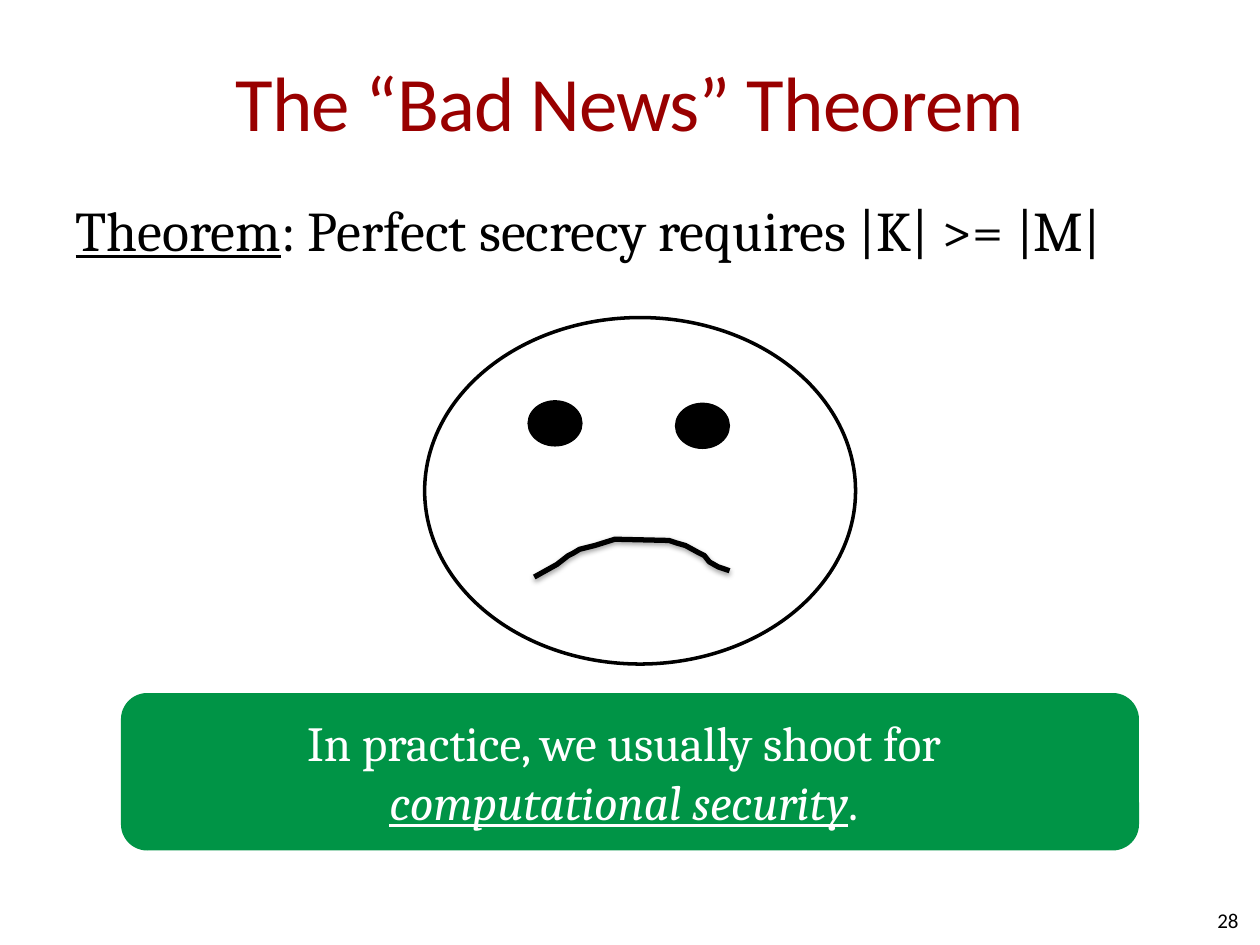
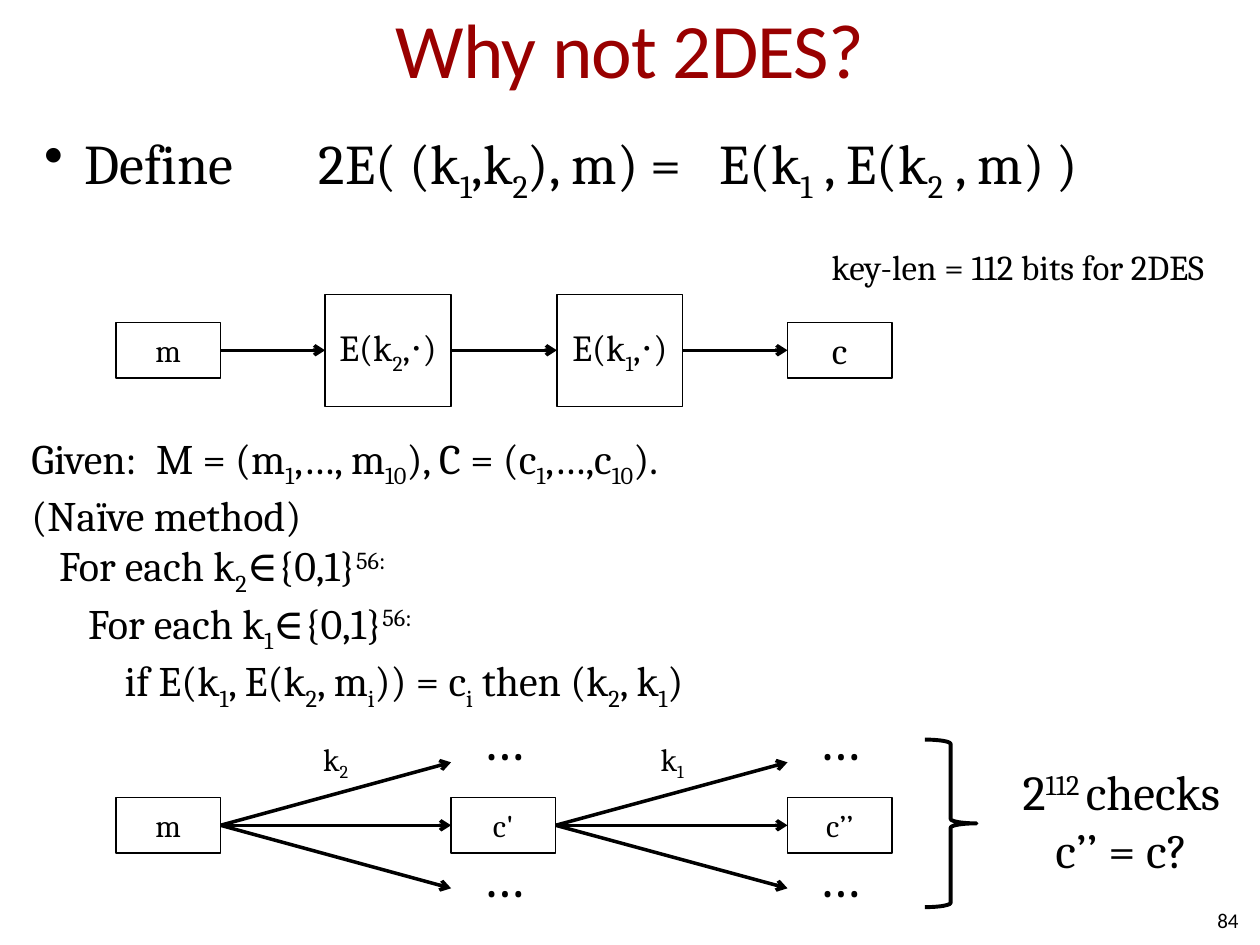
from lxml.etree import SubElement
from pptx import Presentation
from pptx.dml.color import RGBColor
from pptx.enum.shapes import MSO_CONNECTOR, MSO_SHAPE
from pptx.enum.text import MSO_ANCHOR, PP_ALIGN
from pptx.oxml.ns import qn
from pptx.util import Inches, Pt

THEME = {
    "black": RGBColor.from_string("000000"),
    "white": RGBColor.from_string("FFFFFF"),
    "red": RGBColor.from_string("990000"),
    "green": RGBColor.from_string("009446"),
    "heading_font": "Calibri",
    "body_font": "Cambria",
    "title": 44,
    "body": 32,
    "callout": 28,
    "method": 24,
    "cipher": 21,
    "note": 20,
    "label": 18,
    "number": 12,
}
BASELINES = {"_": "-25000", "^": "30000"}
CENTER = {"align": PP_ALIGN.CENTER, "anchor": MSO_ANCHOR.MIDDLE}
FACE = {"fill": "white", "line": "black"}


def add_item(slide, at, preset=None, fill=None, line=None, width=0.75):
    lengths = [Inches(value) for value in at]
    if preset is None:
        return slide.shapes.add_textbox(*lengths)
    shape = slide.shapes.add_shape(preset, *lengths)
    shape.shadow.inherit = False
    if fill:
        shape.fill.solid()
        shape.fill.fore_color.rgb = THEME[fill]
    else:
        shape.fill.background()
    if line:
        shape.line.color.rgb = THEME[line]
        shape.line.width = Pt(width)
    else:
        shape.line.fill.background()
    return shape


def write(shape, lines, size, color="black", font="body_font",
          align=PP_ALIGN.LEFT, anchor=MSO_ANCHOR.TOP):
    frame = shape.text_frame
    frame_format = {"word_wrap": True, "vertical_anchor": anchor, "margin_left": 0,
                    "margin_right": 0, "margin_top": 0, "margin_bottom": 0}
    for name, value in frame_format.items():
        setattr(frame, name, value)
    font_format = {"name": THEME[font], "size": Pt(THEME[size])}
    for index, line in enumerate(lines):
        paragraph = frame.paragraphs[0] if index == 0 else frame.add_paragraph()
        paragraph.alignment = align
        for part in line.split("~"):
            baseline = BASELINES.get(part[:1])
            run = paragraph.add_run()
            run.text = part[1:] if baseline else part
            for name, value in font_format.items():
                setattr(run.font, name, value)
            run.font.color.rgb = THEME[color]
            if baseline:
                run.font._element.set("baseline", baseline)
    return frame.paragraphs


presentation = Presentation()
presentation.slide_width = Inches(10)
presentation.slide_height = Inches(7.5)

slides = []
for title, title_top, number in [("The “Bad News” Theorem", 0.17, "28"),
                                 ("Why not 2DES?", -0.25, "84")]:
    slide = presentation.slides.add_slide(presentation.slide_layouts[6])
    heading = write(add_item(slide, (0.5, title_top, 9, 1.25)), [title], "title",
                    "red", "heading_font", **CENTER)
    heading[0].runs[0].font._element.set("spc", "-50")
    write(add_item(slide, (7.5, 7.1, 2.33, 0.4)), [number], "number",
          font="heading_font", align=PP_ALIGN.RIGHT, anchor=MSO_ANCHOR.MIDDLE)
    slides.append(slide)
theorem_slide, double_slide = slides

theorem = write(add_item(theorem_slide, (0.6, 1.55, 8.8, 0.7)),
                ["Theorem~: Perfect secrecy requires |K| >= |M|"], "body")
theorem[0].runs[0].font.underline = True

for at, fill in [((3.37, 2.52, 3.42, 2.75), "white"),
                 ((4.2, 3.19, 0.41, 0.34), "black"),
                 ((5.37, 3.21, 0.41, 0.34), "black")]:
    add_item(theorem_slide, at, MSO_SHAPE.OVAL, fill, "black", 2)

mouth_points = [(424, 458), (433, 453), (442, 448), (451, 441), (455, 439), (460, 436),
                (472, 433), (488, 428), (531, 429), (537, 431), (544, 433), (555, 439),
                (559, 441), (563, 446), (570, 450), (579, 453)]
outline = theorem_slide.shapes.build_freeform(*mouth_points[0], scale=Inches(0.01))
outline.add_line_segments(mouth_points[1:], close=False)
mouth = outline.convert_to_shape()
mouth.fill.background()
mouth.line.color.rgb = THEME["black"]
mouth.line.width = Pt(3)
mouth.shadow.inherit = False
effects = mouth._element.spPr.find(qn("a:effectLst"))
shadow = SubElement(effects, qn("a:outerShdw"), blurRad=str(Pt(3.1)), dist=str(Pt(1.6)),
                    dir="5400000", rotWithShape="0")
shadow_color = SubElement(shadow, qn("a:srgbClr"), val=str(THEME["black"]))
SubElement(shadow_color, qn("a:alpha"), val="38000")

callout = add_item(theorem_slide, (0.96, 5.5, 8.08, 1.25),
                   MSO_SHAPE.ROUNDED_RECTANGLE, "green")
advice = write(callout, ["In practice, we usually shoot for", "computational security~."],
               "callout", "white", **CENTER)
callout.text_frame.margin_right = Inches(0.1)
for name in ("italic", "underline"):
    setattr(advice[1].runs[0].font, name, True)

define = write(add_item(double_slide, (0.35, 1.02, 2, 0.7)), ["Define"], "body")
define_properties = define[0]._p.get_or_add_pPr()
define_properties.set("marL", str(Inches(0.32)))
define_properties.set("indent", str(Inches(-0.32)))
SubElement(define_properties, qn("a:buChar"), char="•")

formula = write(add_item(double_slide, (2.53, 1.02, 7, 0.7)),
                ["2E( (k~_1~,k~_2~), m) =\tE(k~_1~ , E(k~_2~ , m) )"], "body")
write(add_item(double_slide, (6.6, 1.95, 3.26, 0.34)),
      ["key-len = 112 bits for 2DES"], "note")

method = write(add_item(double_slide, (0.25, 3.43, 8.5, 2.02)), [
    "Given:\tM = (m~_1~,…, m~_10~), C = (c~_1~,…,c~_10~).",
    "(Naïve method)",
    "For each k~_2~∈{0,1}~^56:",
    "For each k~_1~∈{0,1}~^56:",
    "if E(k~_1~, E(k~_2~, m~_i~)) = c~_i~ then (k~_2~, k~_1~)",
], "method")
for paragraph, indent in zip(method[2:], (0.22, 0.45, 0.74)):
    paragraph._p.get_or_add_pPr().set("marL", str(Inches(indent)))
for paragraph, position in [(formula[0], 3.18), (method[0], 0.99)]:
    tabs = SubElement(paragraph._p.get_or_add_pPr(), qn("a:tabLst"))
    SubElement(tabs, qn("a:tab"), pos=str(Inches(position)), algn="l")

chain, attack = [], []
for row, middle, boxes in [
    (chain, 2.78, [(0.92, 0.83, 0.44, "m", "label"),
                   (2.58, 1, 0.89, "E(k~_2~,⋅)", "cipher"),
                   (4.42, 1, 0.89, "E(k~_1~,⋅)", "cipher"),
                   (6.25, 0.83, 0.44, "c", "cipher")]),
    (attack, 6.55, [(0.92, 0.83, 0.44, "m", "label"),
                    (3.58, 0.83, 0.44, "c'", "label"),
                    (6.25, 0.83, 0.44, "c’’", "label")]),
]:
    for left, width, height, text, size in boxes:
        box = add_item(double_slide, (left, middle - height / 2, width, height),
                       MSO_SHAPE.RECTANGLE, **FACE)
        write(box, [text], size, **CENTER)
        row.append(box)

arrows = [(source, target, 0) for source, target in zip(chain, chain[1:])]
arrows += [(source, target, rise) for source, target in zip(attack, attack[1:])
           for rise in (-0.5, 0, 0.5)]
for source, target, rise in arrows:
    end_y = target.top + target.height // 2 + Inches(rise)
    arrow = double_slide.shapes.add_connector(
        MSO_CONNECTOR.STRAIGHT, source.left + source.width,
        source.top + source.height // 2, target.left, end_y)
    arrow.begin_connect(source, 3)
    if rise == 0:
        arrow.end_connect(target, 1)
    arrow.line.color.rgb = THEME["black"]
    arrow.line.width = Pt(2)
    SubElement(arrow.line._get_or_add_ln(), qn("a:tailEnd"), type="arrow")
    SubElement(arrow._element.spPr, qn("a:effectLst"))

for left in (3.83, 6.5):
    for top in (5.59, 6.68):
        write(add_item(double_slide, (left, top, 0.83, 0.54)), ["…"], "body")
for left, key in [(2.25, "k~_2"), (4.92, "k~_1")]:
    write(add_item(double_slide, (left, 5.82, 0.83, 0.44)), [key], "label", **CENTER)

add_item(double_slide, (7.34, 5.87, 0.41, 1.33), MSO_SHAPE.RIGHT_BRACE,
         line="black", width=2.25)
write(add_item(double_slide, (7.92, 6.04, 1.96, 0.94)),
      ["2~^112 ~checks", "c’’ = c?"], "callout", align=PP_ALIGN.CENTER)

presentation.save("out.pptx")
